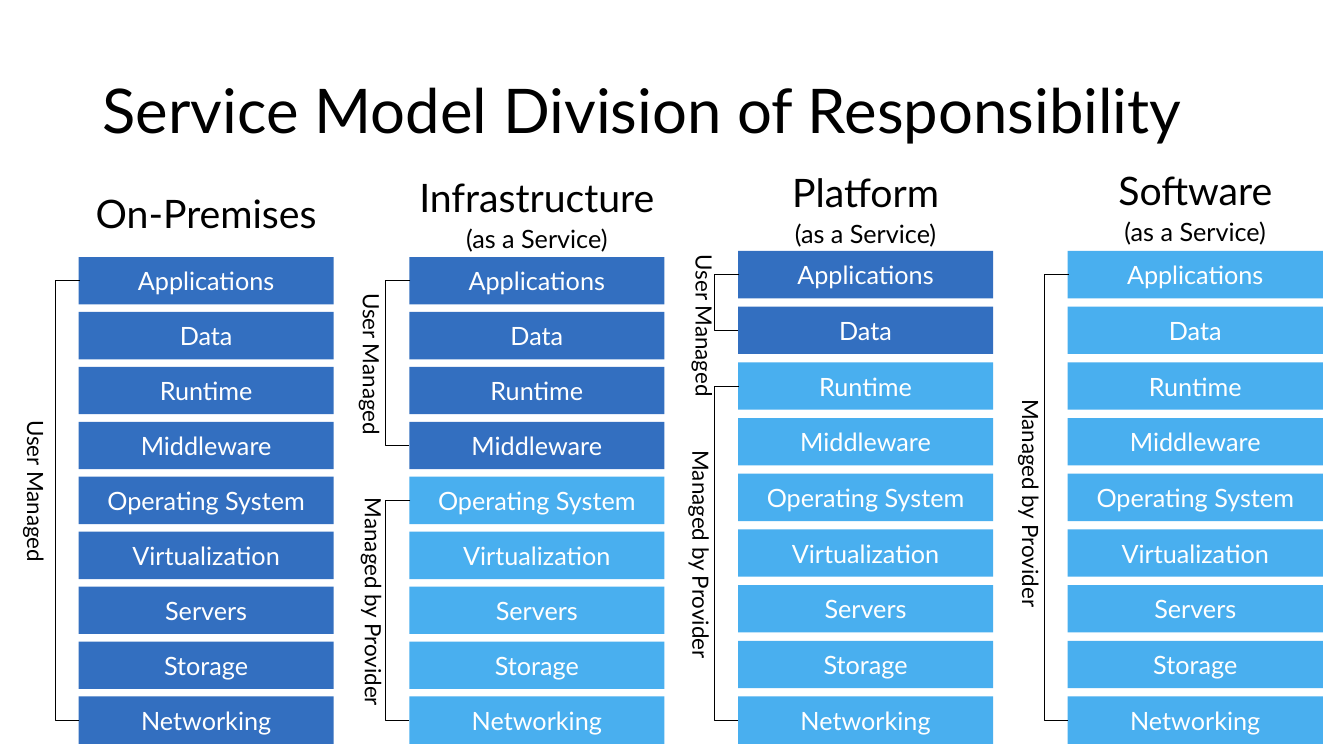
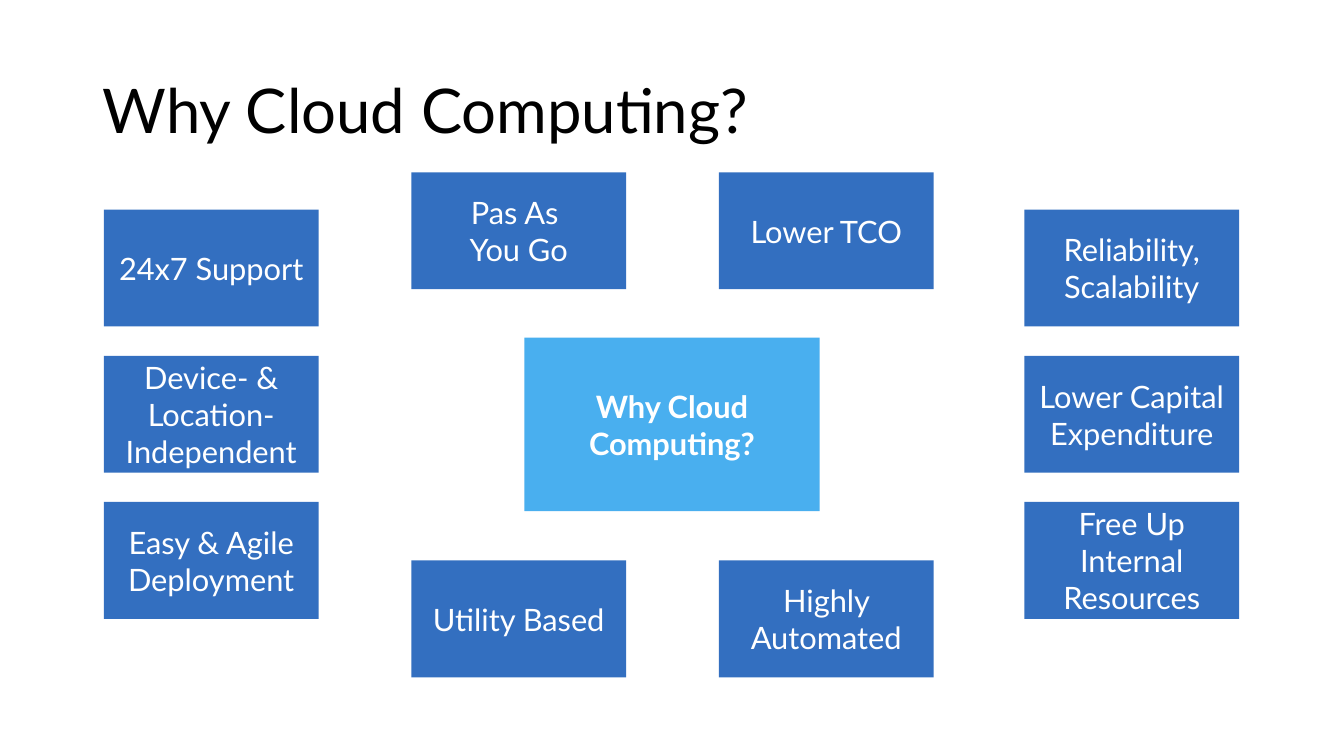
from dataclasses import dataclass

from lxml import etree
from pptx import Presentation
from pptx.dml.color import RGBColor
from pptx.enum.shapes import MSO_CONNECTOR, MSO_SHAPE
from pptx.enum.text import MSO_ANCHOR, MSO_AUTO_SIZE, PP_ALIGN
from pptx.oxml.ns import qn
from pptx.util import Pt

RECTANGLE = MSO_SHAPE.RECTANGLE
ELBOW = MSO_CONNECTOR.ELBOW
TOP, MIDDLE = MSO_ANCHOR.TOP, MSO_ANCHOR.MIDDLE
LEFT, CENTER = PP_ALIGN.LEFT, PP_ALIGN.CENTER
GROW, FIXED = MSO_AUTO_SIZE.SHAPE_TO_FIT_TEXT, MSO_AUTO_SIZE.NONE

EMU_PER_PX = 9144  # 100 px to the inch


@dataclass(frozen=True)
class Theme:
    font: str = "Lato"
    ink: RGBColor = RGBColor(0x00, 0x00, 0x00)
    paper: RGBColor = RGBColor(0xFF, 0xFF, 0xFF)
    user: RGBColor = RGBColor(0x33, 0x6F, 0xC0)
    provider: RGBColor = RGBColor(0x49, 0xAF, 0xEF)
    title_size: int = 44
    heading_size: int = 28
    reason_size: int = 22
    layer_size: int = 18
    label_size: int = 16
    bracket_width: float = 0.5


@dataclass(frozen=True)
class Bracket:
    """Layers first to last, with the label offset from the column's corner."""
    owner: str
    first: int
    last: int
    label_x: int
    label_y: int


@dataclass(frozen=True)
class ServiceModel:
    heading: tuple
    left: int
    top: int
    heading_rise: int
    user_layers: int
    brackets: tuple


THEME = Theme()
SLIDE_SIZE = (1333, 750)
TITLE_BOX = (92, 40, 1150, 145)

USER, PROVIDER = "User Managed", "Managed by Provider"
LABEL_LENGTHS = {USER: 147, PROVIDER: 213}
LABEL_THICKNESS = 25
LAYERS = ("Applications", "Data", "Runtime", "Middleware", "Operating System",
          "Virtualization", "Servers", "Storage", "Networking")
LAYER_WIDTH, LAYER_HEIGHT, LAST_LAYER_TOP = 253, 47, 691
BRACKET_DEPTH = 25
AS_A_SERVICE = "(as a Service)"

MODELS = (
    ServiceModel(("On-Premises",), 78, 255, 62, 9,
                 (Bracket(USER, 0, 8, -57, 162),)),
    ServiceModel(("Infrastructure", AS_A_SERVICE), 406, 255, 78, 4,
                 (Bracket(USER, 0, 3, -52, 36),
                  Bracket(PROVIDER, 4, 8, -50, 239))),
    ServiceModel(("Platform", AS_A_SERVICE), 732, 249, 77, 2,
                 (Bracket(USER, 0, 1, -48, 4),
                  Bracket(PROVIDER, 2, 8, -51, 198))),
    ServiceModel(("Software", AS_A_SERVICE), 1059, 249, 79, 0,
                 (Bracket(PROVIDER, 0, 8, -51, 147),)),
)

REASON_SIZE = (213, 116)
CENTRE_BOX = (520, 335, 293, 172)
SIDE_TOPS, INNER_TOPS = (208, 353, 498), (171, 556)
REASON_COLUMNS = (
    (103, SIDE_TOPS, ("24x7 Support", "Device- & Location-Independent",
                      "Easy & Agile Deployment")),
    (408, INNER_TOPS, ("Pas As \nYou Go", "Utility Based")),
    (713, INNER_TOPS, ("Lower TCO", "Highly Automated")),
    (1016, SIDE_TOPS, ("Reliability, Scalability",
                       "Lower Capital Expenditure",
                       "Free Up Internal Resources")),
)


def to_emu(*lengths):
    return [round(length * EMU_PER_PX) for length in lengths]


def apply_format(target, values):
    for name, value in values.items():
        setattr(target, name, value)


def write_text(shape, lines, sizes, color, align=CENTER, bold=False,
               spacing=1.0, insets=(10, 5), **frame_format):
    """Write one paragraph per line, each with its own type size."""
    frame = shape.text_frame
    horizontal, vertical = to_emu(*insets)
    apply_format(frame, {
        "margin_left": horizontal, "margin_right": horizontal,
        "margin_top": vertical, "margin_bottom": vertical,
        "word_wrap": True, "auto_size": FIXED,
        "vertical_anchor": MIDDLE, **frame_format})
    frame.text = "\n".join(lines)
    for paragraph, size in zip(frame.paragraphs, sizes):
        apply_format(paragraph, {"alignment": align, "line_spacing": spacing})
        apply_format(paragraph.font, {
            "name": THEME.font, "size": Pt(size), "bold": bold})
        paragraph.font.color.rgb = color
    return frame


def add_title(slide, text):
    title = slide.shapes.add_textbox(*to_emu(*TITLE_BOX))
    write_text(title, [text], [THEME.title_size], THEME.ink, LEFT, spacing=0.9)


def add_block(shapes, box, text, fill, size, bold=False):
    """Filled rectangle with centred white text."""
    block = shapes.add_shape(RECTANGLE, *to_emu(*box))
    block.shadow.inherit = False
    block.fill.solid()
    block.fill.fore_color.rgb = fill
    block.line.fill.background()
    lines = text.split("\n")
    write_text(block, lines, [size] * len(lines), THEME.paper, bold=bold)


def add_heading(shapes, left, top, lines):
    height = 43 if len(lines) == 1 else 76
    heading = shapes.add_textbox(*to_emu(left, top, LAYER_WIDTH, height))
    frame = write_text(heading, lines, [THEME.heading_size, THEME.layer_size],
                       THEME.ink, spacing=0.9, insets=(0, 0),
                       vertical_anchor=TOP, auto_size=GROW)
    for paragraph in frame.paragraphs[1:]:
        paragraph.space_before = Pt(4)


def add_bracket_line(shapes, left, top, bottom):
    """Elbow connector that opens to the right, around the given rows."""
    connector = shapes.add_connector(ELBOW, *to_emu(left, top, left + 1, bottom))
    connector.line.color.rgb = THEME.ink
    connector.line.width = Pt(THEME.bracket_width)
    properties = connector._element.spPr
    transform = properties.find(qn("a:xfrm"))
    transform.set("rot", "10800000")
    transform.set("flipV", "1")
    geometry = properties.find(qn("a:prstGeom"))
    adjustments = geometry.find(qn("a:avLst"))
    if adjustments is None:
        adjustments = etree.SubElement(geometry, qn("a:avLst"))
    guide = etree.SubElement(adjustments, qn("a:gd"))
    guide.set("name", "adj1")
    guide.set("fmla", f"val {BRACKET_DEPTH * 100000}")
    etree.SubElement(properties, qn("a:effectLst"))


def add_owner_label(shapes, left, top, owner):
    """Label that reads from top to bottom."""
    label = shapes.add_textbox(
        *to_emu(left, top, LABEL_THICKNESS, LABEL_LENGTHS[owner]))
    if owner == PROVIDER:
        label.fill.solid()
        label.fill.fore_color.rgb = THEME.paper
    frame = write_text(label, [owner], [THEME.label_size], THEME.ink, LEFT,
                       spacing=0.9, insets=(0, 0), vertical_anchor=TOP,
                       word_wrap=False, auto_size=GROW)
    frame._txBody.bodyPr.set("vert", "eaVert")


def add_service_model(slide, model):
    """One column: heading, stack of layers, brackets with labels."""
    shapes = slide.shapes.add_group_shape().shapes
    pitch = (LAST_LAYER_TOP - model.top) / (len(LAYERS) - 1)
    tops = [model.top + pitch * row for row in range(len(LAYERS))]
    for row, (layer, top) in enumerate(zip(LAYERS, tops)):
        fill = THEME.user if row < model.user_layers else THEME.provider
        add_block(shapes, (model.left, top, LAYER_WIDTH, LAYER_HEIGHT),
                  layer, fill, THEME.layer_size)
    add_heading(shapes, model.left, model.top - model.heading_rise,
                model.heading)
    for bracket in model.brackets:
        add_owner_label(shapes, model.left + bracket.label_x,
                        model.top + bracket.label_y, bracket.owner)
        first, last = (tops[row] + LAYER_HEIGHT / 2
                       for row in (bracket.first, bracket.last))
        add_bracket_line(shapes, model.left, first, last)


def build_responsibility_slide(slide):
    add_title(slide, "Service Model Division of Responsibility")
    for model in MODELS:
        add_service_model(slide, model)


def build_reasons_slide(slide):
    question = "Why Cloud Computing?"
    add_title(slide, question)
    for left, tops, reasons in REASON_COLUMNS:
        for top, reason in zip(tops, reasons):
            add_block(slide.shapes, (left, top, *REASON_SIZE), reason,
                      THEME.user, THEME.reason_size)
    add_block(slide.shapes, CENTRE_BOX, question, THEME.provider,
              THEME.reason_size, bold=True)


def main():
    presentation = Presentation()
    presentation.slide_width, presentation.slide_height = to_emu(*SLIDE_SIZE)
    blank = presentation.slide_layouts[6]
    for build in (build_responsibility_slide, build_reasons_slide):
        build(presentation.slides.add_slide(blank))
    presentation.save("out.pptx")


if __name__ == "__main__":
    main()
